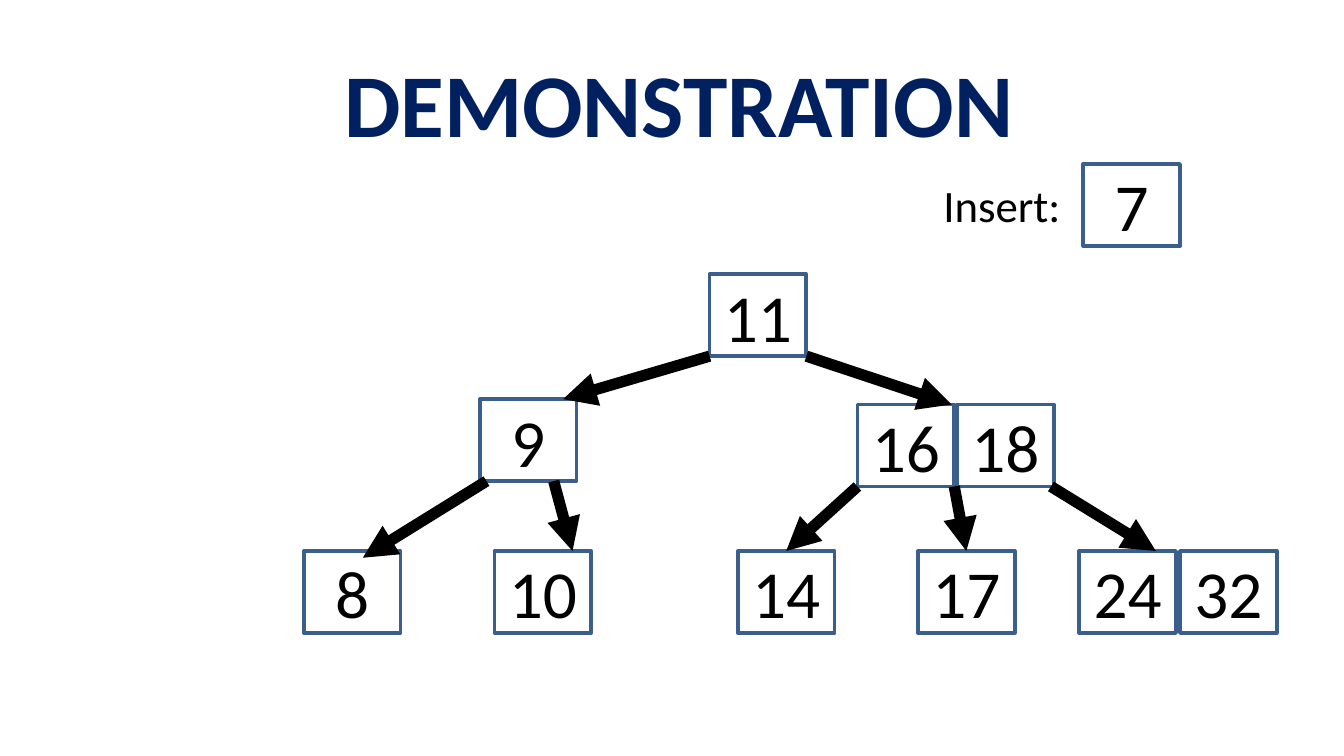
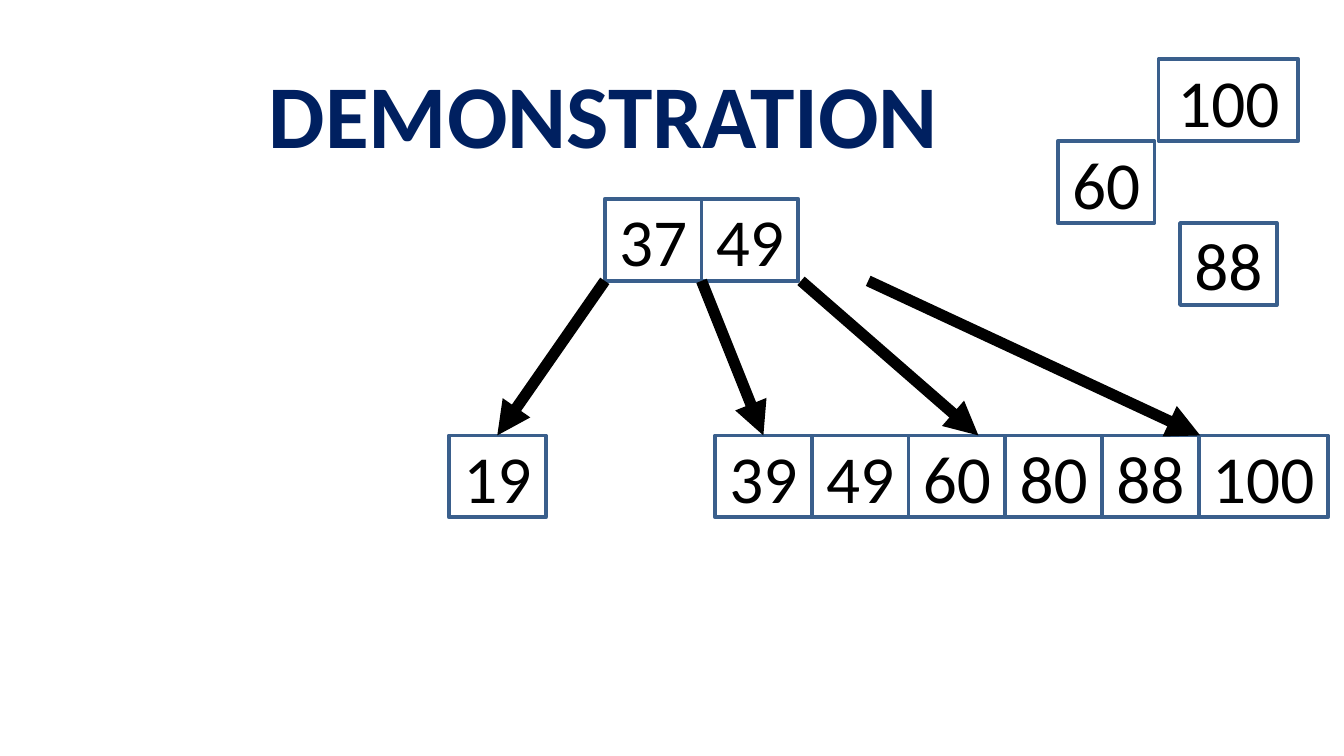
from dataclasses import dataclass

from lxml.etree import SubElement
from pptx import Presentation
from pptx.dml.color import RGBColor
from pptx.enum.shapes import MSO_CONNECTOR as Connector, MSO_SHAPE as Preset
from pptx.enum.text import MSO_ANCHOR as Anchor, MSO_AUTO_SIZE as AutoSize, PP_ALIGN as Align
from pptx.oxml.ns import qn
from pptx.util import Inches, Pt


@dataclass(frozen=True)
class Theme:
    font: str = "Calibri"
    title_color: RGBColor = RGBColor(0x00, 0x20, 0x60)
    ink: RGBColor = RGBColor(0x00, 0x00, 0x00)
    paper: RGBColor = RGBColor(0xFF, 0xFF, 0xFF)
    border: RGBColor = RGBColor(0x3A, 0x5F, 0x8C)
    title_size: int = 48
    key_size: int = 36
    label_size: int = 24
    border_width: int = 2
    arrow_width: int = 6
    key_width: float = 0.72
    key_height: float = 0.61


THEME = Theme()
TITLE_ONLY = 5


def write(shape, text, *, size, color=THEME.ink, bold=False, align=Align.LEFT,
          anchor=Anchor.MIDDLE, auto_size=AutoSize.NONE):
    frame = shape.text_frame
    frame.word_wrap = True
    frame.auto_size = auto_size
    frame.vertical_anchor = anchor
    paragraph = frame.paragraphs[0]
    paragraph.alignment = align
    run = paragraph.add_run()
    run.text = text
    run.font.name = THEME.font
    run.font.size = Pt(size)
    run.font.bold = bold
    run.font.color.rgb = color


def place_title(slide, left, top, width, height=0.79):
    title = slide.shapes.title
    title.left, title.top = Inches(left), Inches(top)
    title.width, title.height = Inches(width), Inches(height)
    write(title, "DEMONSTRATION", size=THEME.title_size,
          color=THEME.title_color, bold=True)


def add_key(slide, text, left, top, width=THEME.key_width):
    key = slide.shapes.add_shape(Preset.RECTANGLE, Inches(left), Inches(top),
                                 Inches(width), Inches(THEME.key_height))
    key.shadow.inherit = False
    key.fill.solid()
    key.fill.fore_color.rgb = THEME.paper
    key.line.color.rgb = THEME.border
    key.line.width = Pt(THEME.border_width)
    key.text_frame.margin_left = key.text_frame.margin_right = 0
    write(key, text, size=THEME.key_size, align=Align.CENTER)
    return key


def add_arrow(slide, start, end=None, target=None):
    """Draw an arrow to the point end, or to the top middle of target."""
    points = (*start, *(end or start))
    arrow = slide.shapes.add_connector(Connector.STRAIGHT, *map(Inches, points))
    if target is not None:
        arrow.end_connect(target, 0)
    arrow.line.color.rgb = THEME.ink
    arrow.line.width = Pt(THEME.arrow_width)
    properties = arrow.element.spPr
    SubElement(properties.find(qn("a:ln")), qn("a:tailEnd"), type="triangle")
    SubElement(properties, qn("a:effectLst"))


def draw_tree(slide, left, top, nodes, arrows):
    """Draw nodes (x, y, keys, step) and arrows (start, end point or key name)."""
    keys = {}
    for x, y, names, step in nodes:
        for index, name in enumerate(names):
            width = 0.96 if len(name) > 2 else THEME.key_width
            keys[name] = add_key(slide, name, left + x + index * step, top + y, width)
    for (x, y), end in arrows:
        start = (left + x, top + y)
        if isinstance(end, str):
            add_arrow(slide, start, target=keys[end])
        else:
            add_arrow(slide, start, end=(left + end[0], top + end[1]))


def draw_insert_prompt(slide, left, top):
    add_key(slide, "7", left + 1.14, top)
    label = slide.shapes.add_textbox(Inches(left), Inches(top + 0.05),
                                     Inches(1.29), Inches(0.5))
    write(label, "Insert:", size=THEME.label_size, anchor=Anchor.TOP,
          auto_size=AutoSize.SHAPE_TO_FIT_TEXT)


def draw_waiting_keys(slide, left, top):
    waiting = [("100", 0.75, 1.04), ("60", 0, THEME.key_width),
               ("88", 0.91, THEME.key_width)]
    for row, (name, x, width) in enumerate(waiting):
        add_key(slide, name, left + x, top + row * THEME.key_height, width)


def build_insert_slide(slide):
    place_title(slide, 2.46, 0.36, 7.07)
    leaf_top = 2.06
    nodes = [
        (3.02, 0, ["11"], 0),
        (1.31, 0.93, ["9"], 0),
        (4.12, 0.97, ["16", "18"], 0.74),
        (0, leaf_top, ["8"], 0),
        (1.42, leaf_top, ["10"], 0),
        (3.23, leaf_top, ["14"], 0),
        (4.57, leaf_top, ["17"], 0),
        (5.77, leaf_top, ["24", "32"], 0.75),
    ]
    arrows = [
        ((3.02, 0.61), (1.93, 0.93)),
        ((3.74, 0.61), (4.82, 0.97)),
        ((1.36, 1.54), (0.44, 2.11)),
        ((1.86, 1.54), (2, leaf_top)),
        ((4.12, 1.58), "14"),
        ((4.84, 1.58), "17"),
        ((5.56, 1.58), (6.34, leaf_top)),
    ]
    draw_tree(slide, 2.26, 2.04, nodes, arrows)
    draw_insert_prompt(slide, 6.92, 1.22)


def build_overflow_slide(slide):
    place_title(slide, 1.9, 0.44, 7.44)
    leaf_top, root_bottom = 1.76, THEME.key_height
    nodes = [
        (1.16, 0, ["37", "49"], THEME.key_width),
        (0, leaf_top, ["19"], 0),
        (1.98, leaf_top, ["39", "49", "60", "80", "88", "100"], THEME.key_width),
    ]
    arrows = [
        ((1.16, root_bottom), "19"),
        ((1.88, root_bottom), "39"),
        ((2.62, root_bottom), (3.94, leaf_top)),
        ((3.12, root_bottom), (5.59, leaf_top)),
    ]
    draw_tree(slide, 3.34, 1.48, nodes, arrows)
    draw_waiting_keys(slide, 7.87, 0.44)


def main():
    presentation = Presentation()
    presentation.slide_width = Inches(10)
    presentation.slide_height = presentation.slide_width * 9 // 16
    layout = presentation.slide_layouts[TITLE_ONLY]
    for build in (build_insert_slide, build_overflow_slide):
        build(presentation.slides.add_slide(layout))
    presentation.save("out.pptx")


if __name__ == "__main__":
    main()
